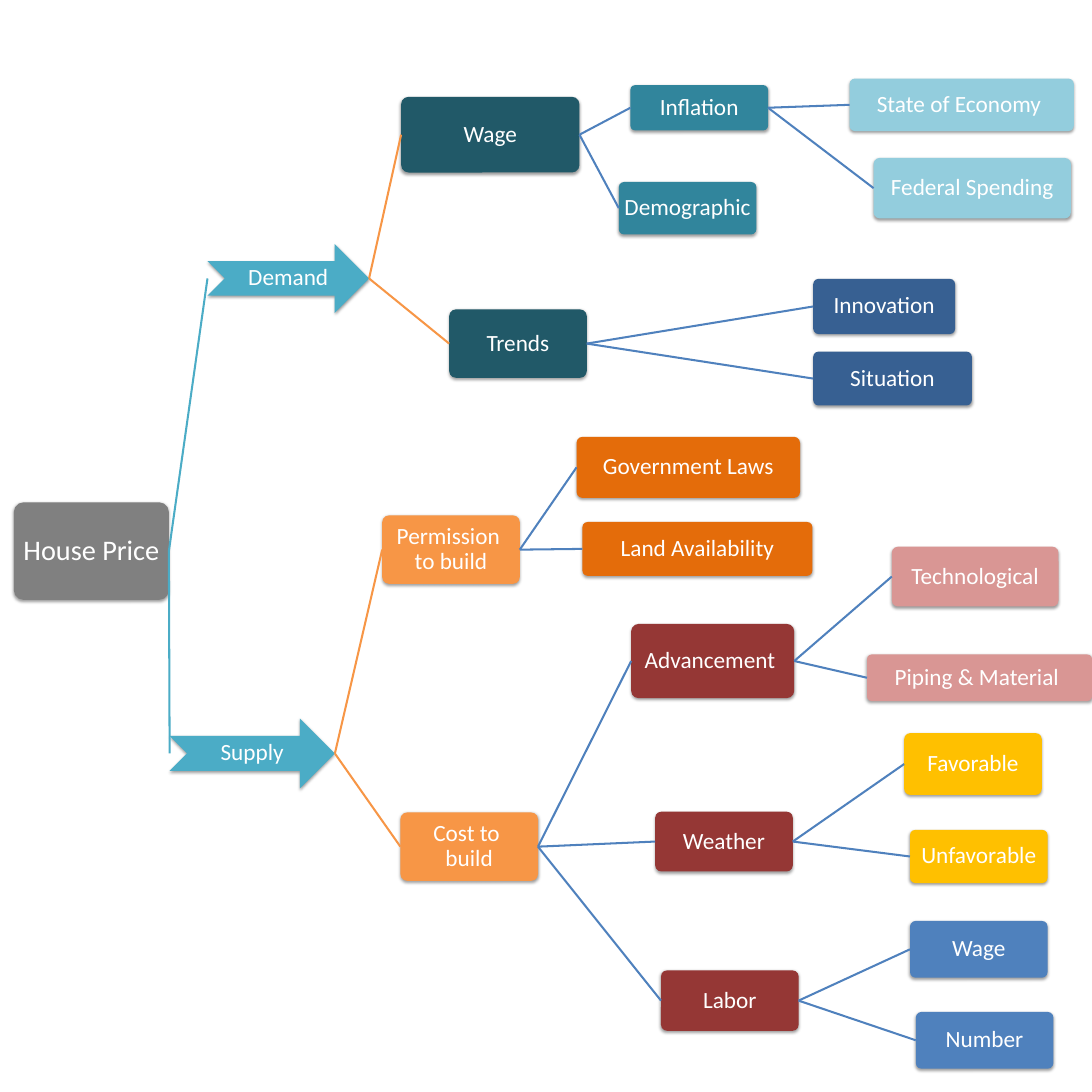
from lxml.etree import SubElement
from pptx import Presentation
from pptx.dml.color import RGBColor
from pptx.enum.shapes import MSO_CONNECTOR, MSO_SHAPE
from pptx.enum.text import MSO_ANCHOR, PP_ALIGN
from pptx.oxml.ns import qn
from pptx.util import Pt

PX = 9144
SIDE = 1500
LEFT, RIGHT = 1, 3

WHITE = RGBColor(0xFF, 0xFF, 0xFF)
GRAY = RGBColor(0x80, 0x80, 0x80)
AQUA = RGBColor(0x4B, 0xAC, 0xC6)
DEEP_TEAL = RGBColor(0x21, 0x59, 0x68)
TEAL = RGBColor(0x31, 0x85, 0x9C)
PALE_AQUA = RGBColor(0x93, 0xCD, 0xDD)
NAVY = RGBColor(0x37, 0x60, 0x92)
ORANGE = RGBColor(0xF7, 0x96, 0x46)
DARK_ORANGE = RGBColor(0xE4, 0x6C, 0x0A)
MAROON = RGBColor(0x95, 0x37, 0x35)
PINK = RGBColor(0xD9, 0x96, 0x94)
GOLD = RGBColor(0xFF, 0xC0, 0x00)
BLUE = RGBColor(0x4F, 0x81, 0xBD)

BRANCH_COLORS = {1: AQUA, 2: ORANGE, 3: BLUE, 4: BLUE}

# label, (left, top, width, height), fill, causes
HOUSE_PRICE = ("House Price", (19, 690, 213, 134), GRAY, [
    ("Demand", (285, 335, 222, 95), AQUA, [
        ("Wage", (551, 133, 245, 104), DEEP_TEAL, [
            ("Inflation", (866, 117, 189, 62), TEAL, [
                ("State of Economy ", (1167, 108, 308, 72), PALE_AQUA, []),
                ("Federal Spending", (1200, 217, 271, 83), PALE_AQUA, []),
            ]),
            ("Demographic", (850, 250, 189, 72), TEAL, []),
        ]),
        ("Trends", (617, 425, 189, 94), DEEP_TEAL, [
            ("Innovation", (1117, 383, 195, 76), NAVY, []),
            ("Situation", (1117, 483, 218, 74), NAVY, []),
        ]),
    ]),
    ("Supply", (233, 987, 227, 96), AQUA, [
        ("Cost to \nbuild", (550, 1116, 189, 94), ORANGE, [
            ("Advancement ", (867, 857, 224, 102), MAROON, [
                ("Technological", (1225, 751, 229, 82), PINK, []),
                ("Piping & Material ", (1191, 899, 309, 64), PINK, []),
            ]),
            ("Weather", (900, 1115, 189, 82), MAROON, [
                ("Favorable", (1242, 1007, 189, 85), GOLD, []),
                ("Unfavorable", (1250, 1140, 189, 73), GOLD, []),
            ]),
            ("Labor", (908, 1333, 189, 83), MAROON, [
                ("Wage", (1250, 1265, 189, 78), BLUE, []),
                ("Number", (1258, 1390, 189, 78), BLUE, []),
            ]),
        ]),
        ("Permission \nto build", (525, 708, 189, 94), ORANGE, [
            ("Land Availability", (800, 717, 316, 74), DARK_ORANGE, []),
            ("Government Laws", (792, 600, 307, 84), DARK_ORANGE, []),
        ]),
    ]),
])


def add_shadow(shape):
    shape.shadow.inherit = False
    effects = shape._element.spPr.find(qn("a:effectLst"))
    shadow = SubElement(effects, qn("a:outerShdw"), blurRad=str(Pt(3.1)),
                        dist=str(Pt(1.6)), dir="5400000", rotWithShape="0")
    black = SubElement(shadow, qn("a:srgbClr"), val="000000")
    SubElement(black, qn("a:alpha"), val="38000")


def write_label(shape, label, size):
    frame = shape.text_frame
    frame.word_wrap = True
    frame.vertical_anchor = MSO_ANCHOR.MIDDLE
    frame.margin_left = frame.margin_right = 2 * PX
    frame.margin_top = frame.margin_bottom = 2 * PX
    paragraph = frame.paragraphs[0]
    paragraph.alignment = PP_ALIGN.CENTER
    paragraph.line_spacing = 0.9
    for index, line in enumerate(label.split("\n")):
        if index:
            paragraph.add_line_break()
        run = paragraph.add_run()
        run.text = line
        run.font.name = "Calibri"
        run.font.size = Pt(size)
        run.font.color.rgb = WHITE


def add_branch(shapes, cause, effect, level):
    branch = shapes.add_connector(
        MSO_CONNECTOR.STRAIGHT,
        effect.left + effect.width, effect.top + effect.height // 2,
        cause.left, cause.top + cause.height // 2)
    branch.begin_connect(effect, RIGHT)
    if level > 1:
        branch.end_connect(cause, LEFT)
    branch.line.color.rgb = BRANCH_COLORS[level]
    branch.line.width = Pt(2)
    SubElement(branch._element.spPr, qn("a:effectLst"))


def add_factor(shapes, factor, effect=None, level=0):
    label, box, fill, causes = factor
    kind = MSO_SHAPE.NOTCHED_RIGHT_ARROW if level == 1 else MSO_SHAPE.ROUNDED_RECTANGLE
    shape = shapes.add_shape(kind, *(length * PX for length in box))
    if level != 1:
        shape.adjustments[0] = 0.1
    shape.fill.solid()
    shape.fill.fore_color.rgb = fill
    shape.line.fill.background()
    add_shadow(shape)
    write_label(shape, label, 23 if level else 28)
    if effect is not None:
        add_branch(shapes, shape, effect, level)
    for cause in causes:
        add_factor(shapes, cause, shape, level + 1)


def main():
    deck = Presentation()
    deck.slide_width = deck.slide_height = SIDE * PX
    slide = deck.slides.add_slide(deck.slide_layouts[6])
    add_factor(slide.shapes, HOUSE_PRICE)
    deck.save("out.pptx")


if __name__ == "__main__":
    main()
